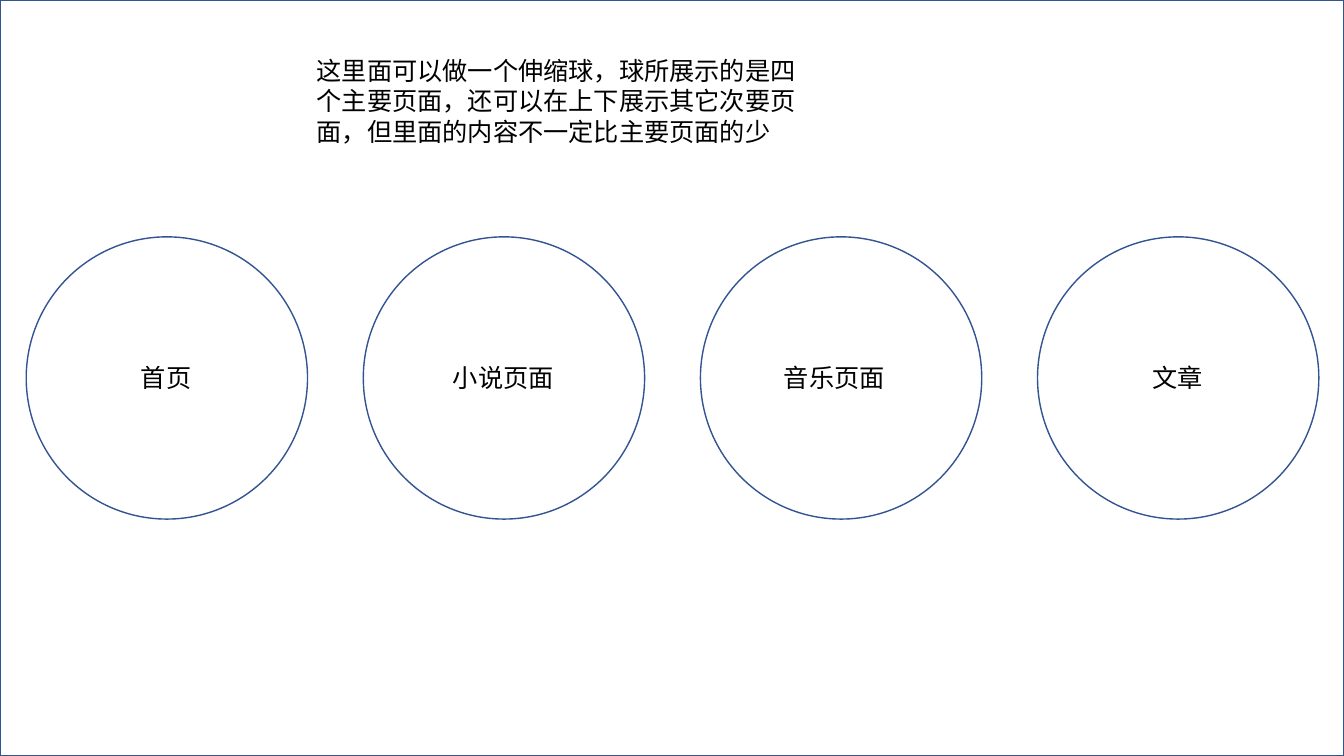
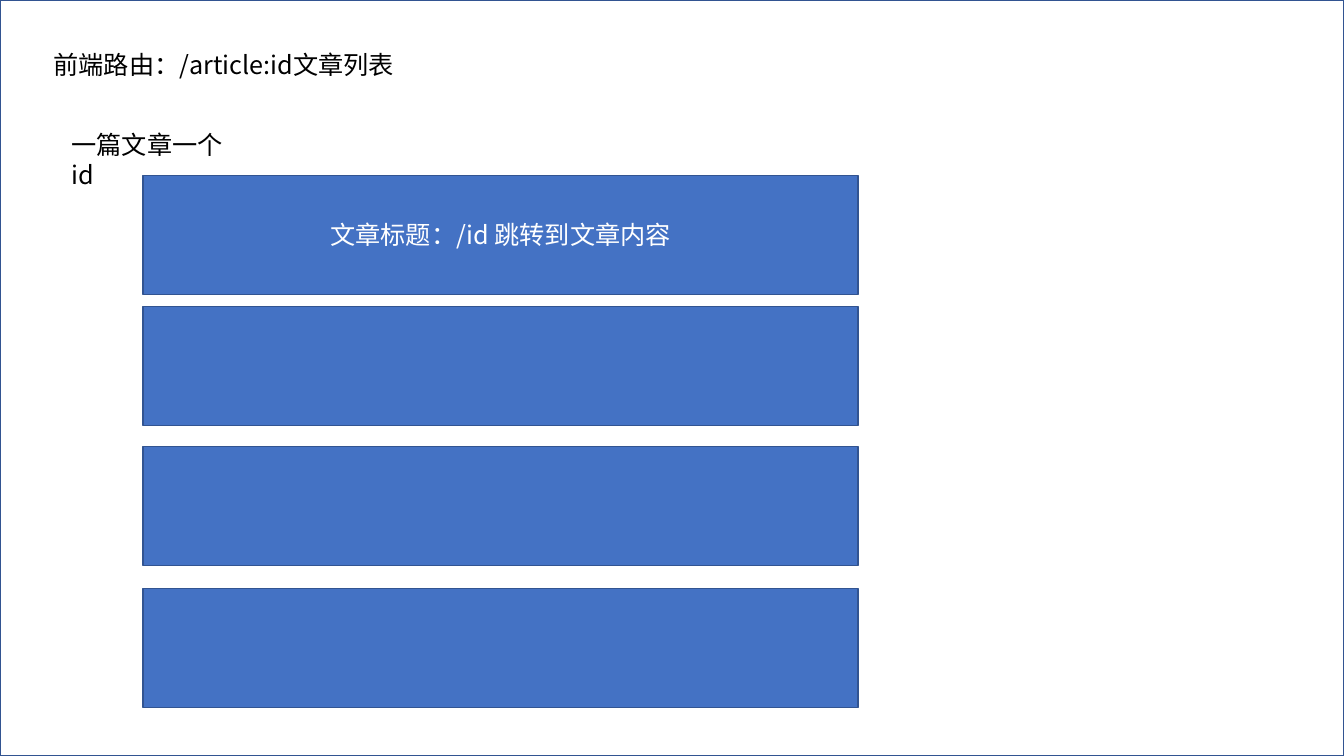
from dataclasses import dataclass

from pptx import Presentation
from pptx.dml.color import RGBColor
from pptx.enum.shapes import MSO_SHAPE
from pptx.enum.text import MSO_ANCHOR, MSO_AUTO_SIZE, PP_ALIGN
from pptx.oxml.ns import qn
from pptx.shapes.autoshape import Shape
from pptx.slide import Slide
from pptx.util import Inches, Pt
from lxml.etree import SubElement

BLACK = RGBColor(0x00, 0x00, 0x00)
WHITE = RGBColor(0xFF, 0xFF, 0xFF)
BLUE = RGBColor(0x44, 0x72, 0xC4)
OUTLINE = RGBColor(0x32, 0x54, 0x91)
FONT = "Noto Sans CJK SC"
TEXT_SIZE = Pt(18)
SLIDE_WIDTH, SLIDE_HEIGHT = 13.33, 7.5
TITLE_ONLY = 5


@dataclass(frozen=True)
class Area:
    """A rectangle on the slide, in inches."""
    left: float
    top: float
    width: float
    height: float

    def lengths(self) -> tuple:
        """Return left, top, width and height as slide lengths."""
        return tuple(Inches(value) for value in
                     (self.left, self.top, self.width, self.height))


@dataclass(frozen=True)
class Ball:
    """One main page, shown as a circle with a label of a given width."""
    label: str
    label_width: float
    wrap: bool = False


@dataclass(frozen=True)
class ArticleRow:
    """One bar of the article list."""
    top: float
    text: str = ""


BALLS = (
    Ball("首页", 0.71),
    Ball("小说页面", 1.21),
    Ball("音乐页面", 1.33, wrap=True),
    Ball("文章", 0.71),
)
FIRST_BALL = Area(0.26, 2.35, 2.79, 2.8)
LAST_BALL_LEFT = 10.29
LABEL_TOP, LABEL_HEIGHT = 3.55, 0.4

ARTICLE_ROWS = (
    ArticleRow(1.74, "文章标题：/id 跳转到文章内容"),
    ArticleRow(3.04),
    ArticleRow(4.43),
    ArticleRow(5.84),
)
ROW_LEFT, ROW_WIDTH, ROW_HEIGHT = 1.42, 7.09, 1.18


def write_text(box: Shape, text: str, *, color: RGBColor = BLACK,
               align: PP_ALIGN = PP_ALIGN.LEFT,
               anchor: MSO_ANCHOR = MSO_ANCHOR.TOP,
               wrap: bool = True, grow: bool = True) -> None:
    """Fill a box with one paragraph in the deck's font."""
    frame = box.text_frame
    frame.word_wrap = wrap
    frame.auto_size = (MSO_AUTO_SIZE.SHAPE_TO_FIT_TEXT if grow
                       else MSO_AUTO_SIZE.NONE)
    frame.vertical_anchor = anchor
    para = frame.paragraphs[0]
    para.alignment = align
    span = para.add_run()
    span.text = text
    span.font.name = FONT
    span.font.size = TEXT_SIZE
    span.font.color.rgb = color
    east_asian = SubElement(span.font._element, qn("a:ea"))
    east_asian.set("typeface", FONT)


def add_outlined(page: Slide, kind: MSO_SHAPE, area: Area,
                 fill: RGBColor | None = None) -> Shape:
    """Add an outlined shape, hollow unless a fill is given."""
    shape = page.shapes.add_shape(kind, *area.lengths())
    shape.shadow.inherit = False
    shape.line.color.rgb = OUTLINE
    shape.line.width = Pt(1)
    if fill is None:
        shape.fill.background()
    else:
        shape.fill.solid()
        shape.fill.fore_color.rgb = fill
    return shape


def add_text(page: Slide, area: Area, text: str, wrap: bool = True) -> None:
    """Add a plain text box."""
    write_text(page.shapes.add_textbox(*area.lengths()), text, wrap=wrap)


def add_page(deck: Presentation, title: str, title_area: Area) -> Slide:
    """Add a page with the shared frame and title style."""
    page = deck.slides.add_slide(deck.slide_layouts[TITLE_ONLY])
    add_outlined(page, MSO_SHAPE.RECTANGLE,
                 Area(0, 0, SLIDE_WIDTH, SLIDE_HEIGHT))
    box = page.shapes.title
    box.left, box.top, box.width, box.height = title_area.lengths()
    write_text(box, title)
    return page


def build_main_pages(deck: Presentation) -> None:
    """Build the page with the row of main-page balls."""
    page = add_page(
        deck,
        "这里面可以做一个伸缩球，球所展示的是四个主要页面，"
        "还可以在上下展示其它次要页面，但里面的内容不一定比主要页面的少",
        Area(3.04, 0.5, 5.12, 1.01))
    pitch = (LAST_BALL_LEFT - FIRST_BALL.left) / (len(BALLS) - 1)
    for index, ball in enumerate(BALLS):
        left = FIRST_BALL.left + index * pitch
        add_outlined(page, MSO_SHAPE.OVAL,
                     Area(left, FIRST_BALL.top,
                          FIRST_BALL.width, FIRST_BALL.height))
        label_left = left + (FIRST_BALL.width - ball.label_width) / 2
        add_text(page, Area(label_left, LABEL_TOP,
                            ball.label_width, LABEL_HEIGHT),
                 ball.label, wrap=ball.wrap)


def build_article_list(deck: Presentation) -> None:
    """Build the page with the article list."""
    page = add_page(deck, "前端路由：/article:id文章列表",
                    Area(0.43, 0.44, 3.6, 0.4))
    add_text(page, Area(0.61, 1.23, 1.92, 0.4), "一篇文章一个id")
    for row in ARTICLE_ROWS:
        bar = add_outlined(page, MSO_SHAPE.RECTANGLE,
                           Area(ROW_LEFT, row.top, ROW_WIDTH, ROW_HEIGHT),
                           BLUE)
        if row.text:
            write_text(bar, row.text, color=WHITE, align=PP_ALIGN.CENTER,
                       anchor=MSO_ANCHOR.MIDDLE, grow=False)


def main() -> None:
    """Build and save the deck."""
    deck = Presentation()
    deck.slide_width = Inches(SLIDE_WIDTH)
    deck.slide_height = Inches(SLIDE_HEIGHT)
    build_main_pages(deck)
    build_article_list(deck)
    deck.save("out.pptx")


main()
